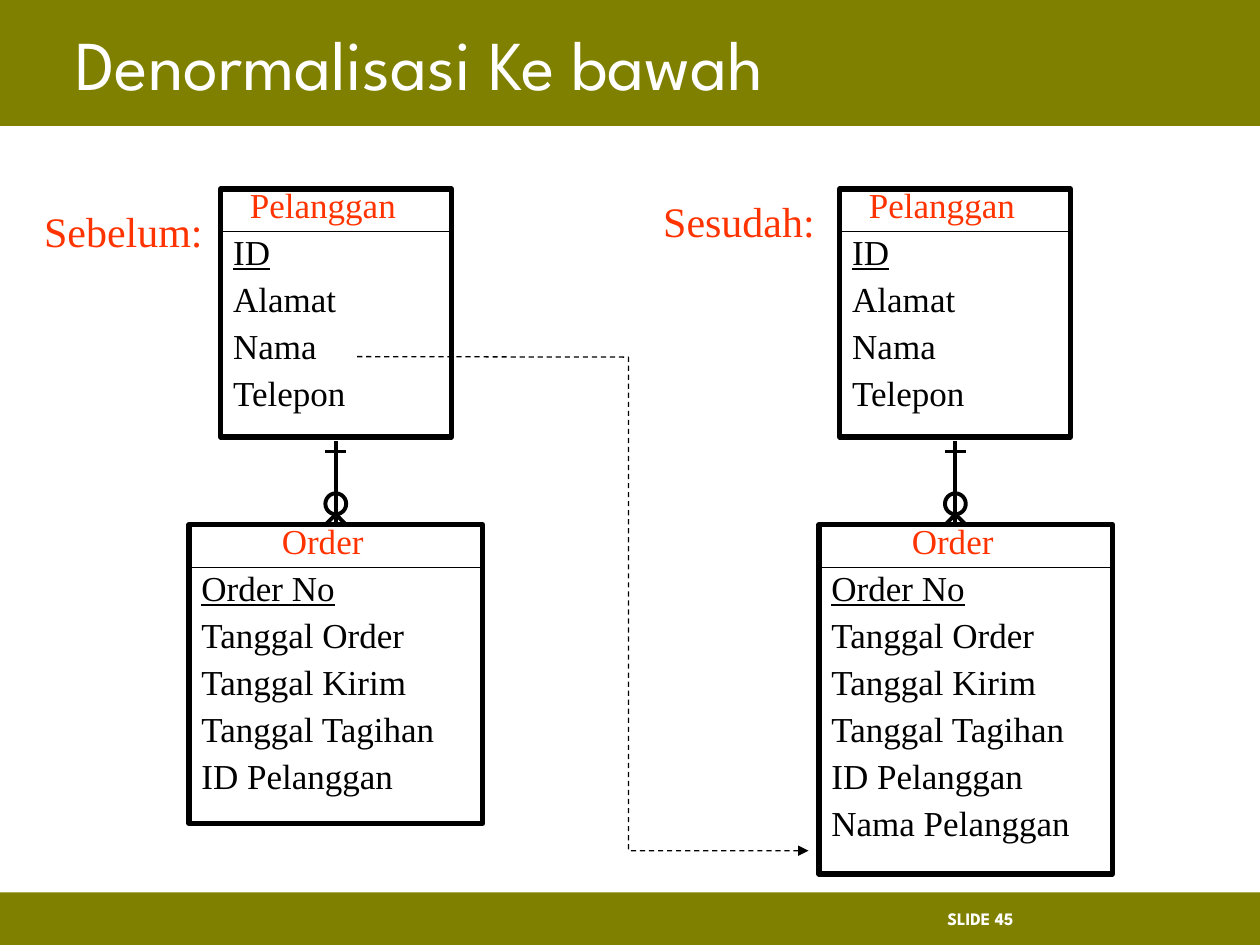
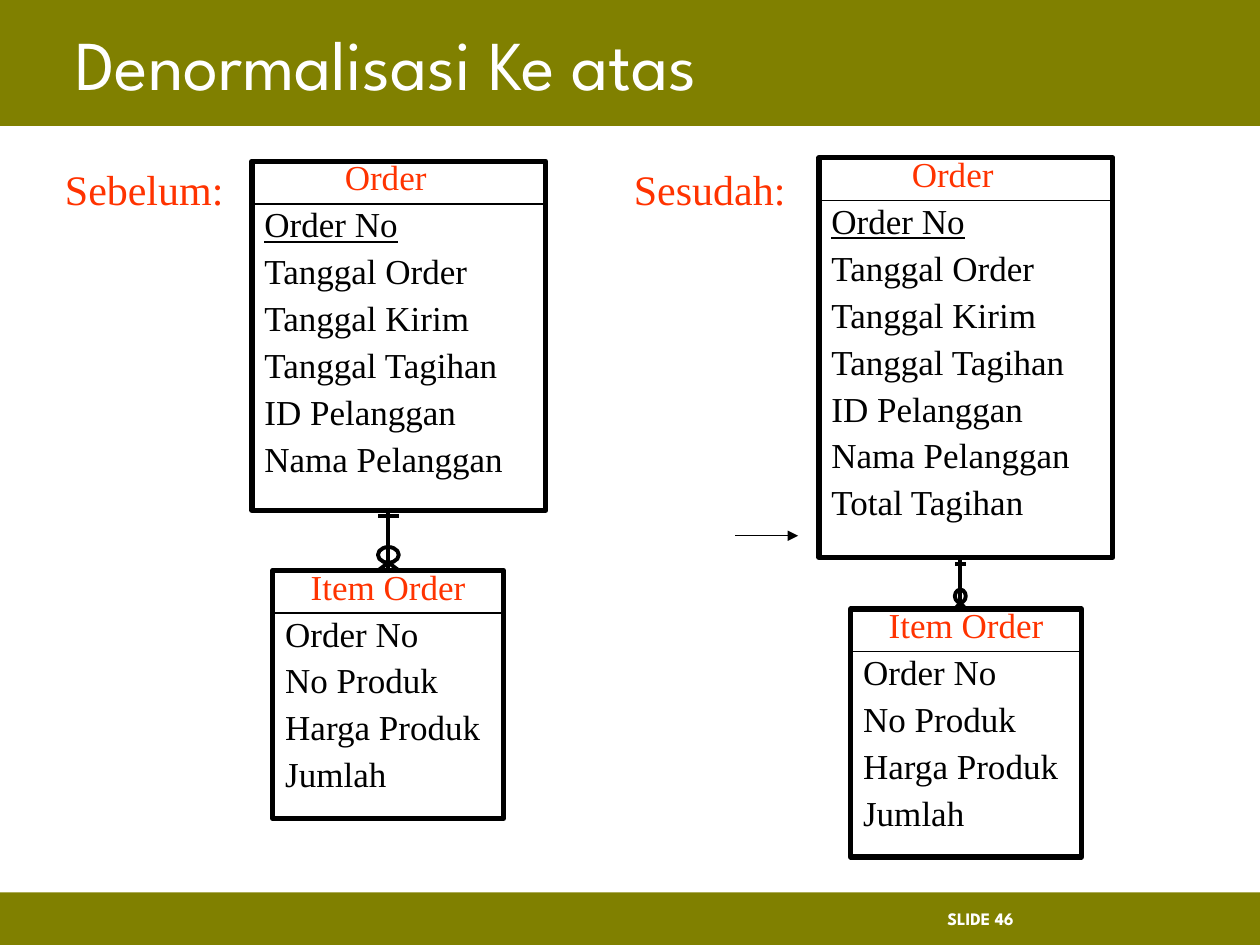
import lxml.etree
import pptx
import pptx.dml.color
import pptx.enum.dml
import pptx.enum.shapes
import pptx.enum.text
import pptx.oxml.ns
import pptx.util

Cm = pptx.util.Cm
Pt = pptx.util.Pt
qn = pptx.oxml.ns.qn
SHAPE = pptx.enum.shapes.MSO_SHAPE
STRAIGHT = pptx.enum.shapes.MSO_CONNECTOR.STRAIGHT
ALIGN = pptx.enum.text.PP_ALIGN
ANCHOR = pptx.enum.text.MSO_ANCHOR

COLOURS = {"band": "808000", "white": "FFFFFF", "ink": "000000", "accent": "FF3300"}
SANS, SERIF = "League Spartan", "Times New Roman"

# Character formats
FORMATS = {
    "title": {"name": SANS, "size": Pt(40), "colour": "white"},
    "footer": {"name": SANS, "size": Pt(10), "bold": True, "colour": "white"},
    "label": {"name": SERIF, "size": Pt(24), "colour": "accent"},
    "entity": {"name": SERIF, "size": Pt(20), "colour": "accent"},
    "field": {"name": SERIF, "size": Pt(20), "colour": "ink"},
    "key": {"name": SERIF, "size": Pt(20), "colour": "ink", "underline": True},
}

# Entities: width, right inset and key field
ORDER_FIELDS = ["Order No", "Tanggal Order", "Tanggal Kirim", "Tanggal Tagihan", "ID Pelanggan"]
FIELDS = {
    "Pelanggan": ["ID", "Alamat", "Nama", "Telepon"],
    "Order": ORDER_FIELDS,
    "Item Order": ["Order No", "No Produk", "Harga Produk", "Jumlah"],
}
LOOKS = {
    "Pelanggan": {"width": 4.65, "inset": 0.78, "key": "ID"},
    "Order": {"width": 5.92, "inset": 0.78, "key": "Order No"},
    "Item Order": {"width": 4.65, "inset": 0.25, "key": None},
}
ROW, HEADER = 1.02, 0.86

# Pages: labels (text, left, top), entities (name, left, top, added fields),
# relations (centre, top, bottom, half width); all in centimetres
PAGES = [
    {
        "title": "Denormalisasi Ke bawah",
        "footer": "SLIDE 45",
        "labels": [("Sebelum:", 0.64, 4.02), ("Sesudah:", 13.12, 3.81)],
        "entities": [
            ("Pelanggan", 4.45, 3.81, []),
            ("Order", 3.81, 10.58, []),
            ("Pelanggan", 16.93, 3.81, []),
            ("Order", 16.51, 10.58, ["Nama Pelanggan"]),
        ],
        "relations": [(6.77, 8.89, 10.58, 0.21), (19.26, 8.89, 10.58, 0.21)],
        "arrow": [(7.2, 7.19), (12.67, 7.2), (12.67, 17.15), (16.3, 17.15)],
        "dashed": True,
    },
    {
        "title": "Denormalisasi Ke atas",
        "footer": "SLIDE 46",
        "labels": [("Sebelum:", 1.06, 3.18), ("Sesudah:", 12.53, 3.18)],
        "entities": [
            ("Order", 5.08, 3.25, ["Nama Pelanggan"]),
            ("Item Order", 5.5, 11.5, []),
            ("Order", 16.51, 3.18, ["Nama Pelanggan", "Total Tagihan"]),
            ("Item Order", 17.15, 12.28, []),
        ],
        "relations": [(7.83, 10.24, 11.5, 0.21), (19.36, 11.23, 12.28, 0.11)],
        "arrow": [(14.82, 10.8), (16.09, 10.8)],
        "dashed": False,
    },
]


def write(para, text, style):
    span = para.add_run()
    span.text = text
    for attribute, value in FORMATS[style].items():
        if attribute == "colour":
            span.font.color.rgb = pptx.dml.color.RGBColor.from_string(COLOURS[value])
        else:
            setattr(span.font, attribute, value)


def stroke(shape, width):
    shape.line.width = Pt(width)
    shape.line.color.rgb = pptx.dml.color.RGBColor.from_string(COLOURS["ink"])
    lxml.etree.SubElement(shape.element.spPr, qn("a:effectLst"))


deck = pptx.Presentation()
deck.slide_width, deck.slide_height = Cm(25.4), Cm(19.05)

for content in PAGES:
    page = deck.slides.add_slide(deck.slide_layouts[6])
    shapes = page.shapes

    # Bands at the top and bottom
    for top, height in [(0, 2.54), (17.99, 1.06)]:
        band = shapes.add_shape(SHAPE.RECTANGLE, 0, Cm(top), deck.slide_width, Cm(height))
        band.shadow.inherit = False
        band.fill.solid()
        band.fill.fore_color.rgb = pptx.dml.color.RGBColor.from_string(COLOURS["band"])
        band.line.fill.background()

    # Title, footer and labels
    texts = [
        (content["title"], "title", 1.27, 0, 22.86, 2.54, ANCHOR.MIDDLE),
        (content["footer"], "footer", 18.85, 17.99, 5.28, 1.06, ANCHOR.MIDDLE),
    ]
    for text, left, top in content["labels"]:
        texts.append((text, "label", left, top, 3.75, 1.27, ANCHOR.TOP))
    for text, style, left, top, width, height, anchor in texts:
        box = shapes.add_textbox(Cm(left), Cm(top), Cm(width), Cm(height))
        box.text_frame.word_wrap = True
        box.text_frame.vertical_anchor = anchor
        write(box.text_frame.paragraphs[0], text, style)

    # Entities with a header rule
    for name, left, top, added in content["entities"]:
        look = LOOKS[name]
        rows = [name] + FIELDS[name] + added
        box = shapes.add_shape(
            SHAPE.RECTANGLE, Cm(left), Cm(top), Cm(look["width"]), Cm(ROW * len(rows) - 0.1)
        )
        box.fill.background()
        stroke(box, 3)
        frame = box.text_frame
        frame.word_wrap = True
        frame.vertical_anchor = ANCHOR.TOP
        frame.margin_right = Cm(look["inset"])
        for number, text in enumerate(rows):
            para = frame.add_paragraph() if number else frame.paragraphs[0]
            para.alignment = ALIGN.LEFT if number else ALIGN.CENTER
            para.line_spacing = 0.7
            before = lxml.etree.SubElement(para._p.get_or_add_pPr(), qn("a:spcBef"))
            lxml.etree.SubElement(before, qn("a:spcPct"), val="50000")
            style = "key" if text == look["key"] else "field"
            write(para, text, style if number else "entity")
        rule = shapes.add_connector(
            STRAIGHT, Cm(left), Cm(top + HEADER), Cm(left + look["width"]), Cm(top + HEADER)
        )
        stroke(rule, 0.75)

    # Relations: one (bar) to zero or many (circle and crow's foot)
    for centre, top, bottom, half in content["relations"]:
        eighth = (bottom - top) / 8
        bar, fork = top + eighth, bottom - eighth
        for x1, y1, x2, y2 in [
            (centre, top, centre, bottom),
            (centre, fork, centre - half, bottom),
            (centre, fork, centre + half, bottom),
            (centre - half, bar, centre + half, bar),
        ]:
            stroke(shapes.add_connector(STRAIGHT, Cm(x1), Cm(y1), Cm(x2), Cm(y2)), 2.25)
        circle = shapes.add_shape(
            SHAPE.OVAL, Cm(centre - half), Cm(fork - 2 * eighth), Cm(2 * half), Cm(2 * eighth)
        )
        circle.fill.background()
        stroke(circle, 2.25)

    # Arrow to the added field
    points = [(Cm(x), Cm(y)) for x, y in content["arrow"]]
    if len(points) > 2:
        outline = shapes.build_freeform(*points[0])
        outline.add_line_segments(points[1:], close=False)
        arrow = outline.convert_to_shape()
        arrow.fill.background()
    else:
        arrow = shapes.add_connector(STRAIGHT, *points[0], *points[1])
    stroke(arrow, 0.75)
    if content["dashed"]:
        arrow.line.dash_style = pptx.enum.dml.MSO_LINE.DASH
    lxml.etree.SubElement(arrow.element.spPr.find(qn("a:ln")), qn("a:tailEnd"), type="triangle")

deck.save("out.pptx")
